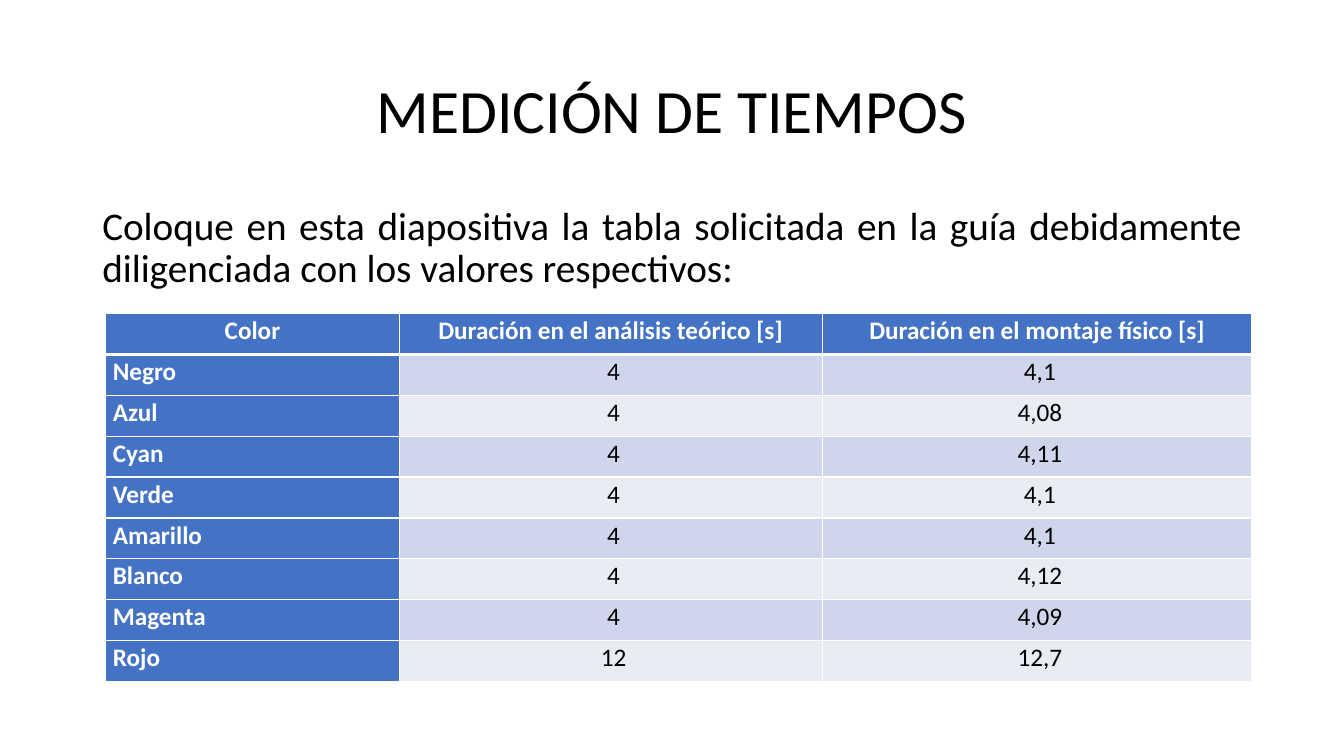
from dataclasses import dataclass
from typing import Any

import lxml.etree
import pptx
import pptx.dml.color
import pptx.enum.text
import pptx.oxml.ns
import pptx.util

Pt = pptx.util.Pt
RGBColor = pptx.dml.color.RGBColor
Align = pptx.enum.text.PP_ALIGN
Anchor = pptx.enum.text.MSO_ANCHOR

FONT = "Calibri"
BLACK = RGBColor(0x00, 0x00, 0x00)
WHITE = RGBColor(0xFF, 0xFF, 0xFF)
BLUE = RGBColor(0x44, 0x72, 0xC4)
DARK_BAND = RGBColor(0xCF, 0xD5, 0xEA)
LIGHT_BAND = RGBColor(0xE9, 0xEB, 0xF5)

CONTENT_LEFT, CONTENT_WIDTH = 66, 828
TABLE_LEFT, TABLE_TOP = 75.6, 224
COLUMN_WIDTHS = (209.5, 302.4, 306.7)
ROW_HEIGHT = 29.2
THIN, THICK = 1, 3

HEADERS = ("Color", "Duración en el análisis teórico [s]", "Duración en el montaje físico [s]")


@dataclass(frozen=True)
class Timing:
    color: str
    theoretical: str
    measured: str


TIMINGS = (
    Timing("Negro", "4", "4,1"),
    Timing("Azul", "4", "4,08"),
    Timing("Cyan", "4", "4,11"),
    Timing("Verde", "4", "4,1"),
    Timing("Amarillo", "4", "4,1"),
    Timing("Blanco", "4", "4,12"),
    Timing("Magenta", "4", "4,09"),
    Timing("Rojo", "12", "12,7"),
)


@dataclass(frozen=True)
class TextStyle:
    size: float
    color: RGBColor
    align: Align
    bold: bool = False
    line_spacing: float = 0.9
    space_before: float = 0
    space_after: float = 0


TITLE_STYLE = TextStyle(44, BLACK, Align.CENTER)
BODY_STYLE = TextStyle(28, BLACK, Align.JUSTIFY, space_before=10)
HEADER_STYLE = TextStyle(18, WHITE, Align.CENTER, True, 1.07, space_after=8)
LABEL_STYLE = TextStyle(18, WHITE, Align.LEFT, True, 1.07, space_after=8)
VALUE_STYLE = TextStyle(18, BLACK, Align.CENTER, False, 1.07, space_after=8)


def apply_format(target: Any, values: dict[str, Any]) -> None:
    for name, value in values.items():
        setattr(target, name, value)


def write_text(frame: Any, text: str, style: TextStyle) -> None:
    para = frame.paragraphs[0]
    apply_format(para, {
        "alignment": style.align,
        "line_spacing": style.line_spacing,
        "space_before": Pt(style.space_before),
        "space_after": Pt(style.space_after),
    })
    span = para.add_run()
    span.text = text
    apply_format(span.font, {"name": FONT, "size": Pt(style.size), "bold": style.bold})
    span.font.color.rgb = style.color


def place(shape: Any, top: float, height: float) -> None:
    apply_format(shape, {
        "left": Pt(CONTENT_LEFT),
        "top": Pt(top),
        "width": Pt(CONTENT_WIDTH),
        "height": Pt(height),
    })


def add_borders(cell: Any, top: float, bottom: float) -> None:
    qn = pptx.oxml.ns.qn
    properties = cell._tc.get_or_add_tcPr()
    sides = {"lnL": THIN, "lnR": THIN, "lnT": top, "lnB": bottom}
    for position, (side, width) in enumerate(sides.items()):
        line = lxml.etree.Element(qn(f"a:{side}"), w=str(Pt(width)))
        fill = lxml.etree.SubElement(line, qn("a:solidFill"))
        lxml.etree.SubElement(fill, qn("a:srgbClr"), val=str(WHITE))
        properties.insert(position, line)


def cell_look(row: int, column: int) -> tuple[TextStyle, RGBColor]:
    """Return the text style and fill colour for a place in the table."""
    if row == 0:
        return HEADER_STYLE, BLUE
    if column == 0:
        return LABEL_STYLE, BLUE
    return VALUE_STYLE, DARK_BAND if row % 2 else LIGHT_BAND


def fill_cell(cell: Any, text: str, row: int, column: int) -> None:
    style, fill = cell_look(row, column)
    apply_format(cell, {
        "margin_left": Pt(9 if style is VALUE_STYLE else 5),
        "margin_right": Pt(5),
        "margin_top": 0,
        "margin_bottom": 0,
    })
    cell.fill.solid()
    cell.fill.fore_color.rgb = fill
    write_text(cell.text_frame, text, style)
    add_borders(cell, THICK if row == 1 else THIN, THICK if row == 0 else THIN)


def add_timing_table(page: Any) -> None:
    rows = [HEADERS] + [(t.color, t.theoretical, t.measured) for t in TIMINGS]
    table = page.shapes.add_table(
        len(rows), len(HEADERS), Pt(TABLE_LEFT), Pt(TABLE_TOP),
        Pt(sum(COLUMN_WIDTHS)), Pt(ROW_HEIGHT * len(rows)),
    ).table
    table.first_col = True
    for column, width in zip(table.columns, COLUMN_WIDTHS):
        column.width = Pt(width)
    for row, texts in enumerate(rows):
        table.rows[row].height = Pt(ROW_HEIGHT)
        for column, text in enumerate(texts):
            fill_cell(table.cell(row, column), text, row, column)


def main() -> None:
    deck = pptx.Presentation()
    apply_format(deck, {"slide_width": Pt(960), "slide_height": Pt(540)})
    page = deck.slides.add_slide(deck.slide_layouts.get_by_name("Title Only"))

    title = page.shapes.title
    place(title, 28.8, 104.4)
    apply_format(title.text_frame, {
        "vertical_anchor": Anchor.MIDDLE,
        "auto_size": pptx.enum.text.MSO_AUTO_SIZE.NONE,
    })
    write_text(title.text_frame, "MEDICIÓN DE TIEMPOS", TITLE_STYLE)

    box = page.shapes.add_textbox(0, 0, 0, 0)
    place(box, 144, 342.7)
    box.text_frame.word_wrap = True
    write_text(
        box.text_frame,
        "Coloque en esta diapositiva la tabla solicitada en la guía "
        "debidamente diligenciada con los valores respectivos:",
        BODY_STYLE,
    )

    add_timing_table(page)
    deck.save("out.pptx")


if __name__ == "__main__":
    main()
